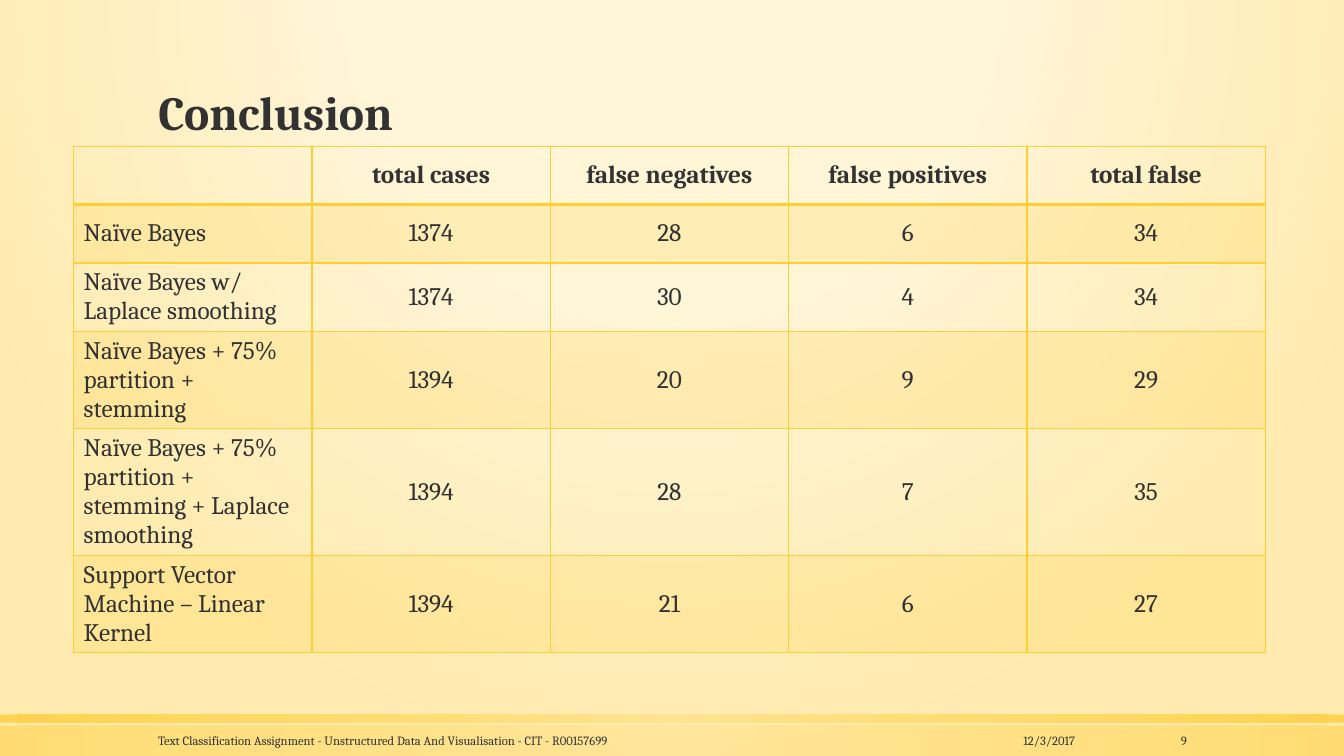
from dataclasses import dataclass

from lxml import etree
from pptx import Presentation
from pptx.dml.color import RGBColor
from pptx.enum.shapes import MSO_SHAPE
from pptx.enum.text import MSO_ANCHOR, MSO_AUTO_SIZE, PP_ALIGN
from pptx.oxml.ns import qn
from pptx.util import Inches, Pt

FONT = "Cambria"
INK = RGBColor(0x32, 0x32, 0x32)
GOLD = RGBColor(0xFF, 0xCD, 0x36)
LIGHT_GOLD = RGBColor(0xFF, 0xE1, 0x86)
CREAM = RGBColor(0xFF, 0xF5, 0xD7)
SAND = RGBColor(0xFF, 0xEB, 0xAF)

LEFT, CENTER, RIGHT = PP_ALIGN.LEFT, PP_ALIGN.CENTER, PP_ALIGN.RIGHT
MIDDLE, BOTTOM = MSO_ANCHOR.MIDDLE, MSO_ANCHOR.BOTTOM
RECTANGLE = MSO_SHAPE.RECTANGLE
NO_AUTOFIT = MSO_AUTO_SIZE.NONE


@dataclass(frozen=True)
class Stop:
    """One gradient stop; position and opacity are percentages."""
    position: int
    color: RGBColor
    opacity: int = 100


@dataclass(frozen=True)
class Band:
    """A full-width strip at the foot of the slide."""
    top: float
    height: float
    opacity: int


@dataclass(frozen=True)
class FooterItem:
    """A small text in the footer strip."""
    text: str
    left: float
    width: float
    align: PP_ALIGN


BACKGROUND_STOPS = [Stop(0, CREAM, 59), Stop(40, CREAM, 66), Stop(100, SAND)]
BANDS = [Band(7.2, 0.3, 50), Band(7.09, 0.08, 80)]
FOOTER = [
    FooterItem("12/3/2017", 9.71, 1.05, RIGHT),
    FooterItem("Text Classification Assignment - Unstructured Data And "
               "Visualisation - CIT - R00157699", 1.47, 7.83, LEFT),
    FooterItem("9", 11.17, 0.7, RIGHT),
]
RESULTS = [
    ("", "total cases", "false negatives", "false positives", "total false"),
    ("Naïve Bayes", "1374", "28", "6", "34"),
    ("Naïve Bayes w/ Laplace smoothing", "1374", "30", "4", "34"),
    ("Naïve Bayes + 75% partition + stemming", "1394", "20", "9", "29"),
    ("Naïve Bayes + 75% partition + stemming + Laplace smoothing",
     "1394", "28", "7", "35"),
    ("Support Vector Machine – Linear Kernel", "1394", "21", "6", "27"),
]
COLUMN_WIDTH, ROW_HEIGHT = Inches(2.364), Inches(0.58)


def add_color(parent, color: RGBColor, opacity: int = 100) -> None:
    """Append an RGB colour with the given opacity to an XML element."""
    node = etree.SubElement(parent, qn("a:srgbClr"), val=str(color))
    if opacity < 100:
        etree.SubElement(node, qn("a:alpha"), val=str(opacity * 1000))


def set_radial_fill(properties, stops: list[Stop], top: int, bottom: int) -> None:
    """Swap a solid fill for a circular gradient centred horizontally."""
    gradient = etree.Element(qn("a:gradFill"), rotWithShape="1")
    stop_list = etree.SubElement(gradient, qn("a:gsLst"))
    for stop in stops:
        node = etree.SubElement(stop_list, qn("a:gs"), pos=str(stop.position * 1000))
        add_color(node, stop.color, stop.opacity)
    circle = etree.SubElement(gradient, qn("a:path"), path="circle")
    etree.SubElement(circle, qn("a:fillToRect"), l="50000", r="50000",
                     t=str(top * 1000), b=str(bottom * 1000))
    properties.replace(properties.find(qn("a:solidFill")), gradient)


def write_text(frame, text: str, *, size: float, bold: bool = False,
               align: PP_ALIGN = LEFT, spacing: float = 1.0) -> None:
    """Fill a text frame with one formatted paragraph."""
    para = frame.paragraphs[0]
    para.alignment = align
    para.line_spacing = spacing
    span = para.add_run()
    span.text = text
    span.font.name = FONT
    span.font.size = Pt(size)
    span.font.bold = bold
    span.font.color.rgb = INK


def add_band(page, band: Band, width: int) -> None:
    """Draw one golden strip across the slide."""
    box = page.shapes.add_shape(RECTANGLE, 0, Inches(band.top), width,
                                Inches(band.height))
    box.shadow.inherit = False
    box.line.fill.background()
    box.fill.solid()
    stops = [Stop(0, LIGHT_GOLD, band.opacity), Stop(100, GOLD, band.opacity)]
    set_radial_fill(box.element.spPr, stops, 50, 50)


def add_footer_item(page, item: FooterItem) -> None:
    """Place one footer text."""
    box = page.shapes.add_textbox(Inches(item.left), Inches(7.22),
                                  Inches(item.width), Inches(0.26))
    frame = box.text_frame
    frame.word_wrap = True
    frame.vertical_anchor = MIDDLE
    write_text(frame, item.text, size=9, align=item.align)


def format_cell(cell, row: int) -> None:
    """Give a cell its border and its banded fill."""
    cell.vertical_anchor = MIDDLE
    properties = cell._tc.get_or_add_tcPr()
    widths = {"L": 1, "R": 1, "T": 2 if row == 1 else 1, "B": 2 if row == 0 else 1}
    for side, width in widths.items():
        line = etree.SubElement(properties, qn(f"a:ln{side}"), w=str(Pt(width)))
        add_color(etree.SubElement(line, qn("a:solidFill")), GOLD)
    if row % 2:
        add_color(etree.SubElement(properties, qn("a:solidFill")), GOLD, 20)
    else:
        cell.fill.background()


def add_results(page) -> None:
    """Build the table of classifier results."""
    rows, columns = len(RESULTS), len(RESULTS[0])
    table = page.shapes.add_table(rows, columns, Inches(0.73), Inches(1.45),
                                  COLUMN_WIDTH * columns, ROW_HEIGHT * rows).table
    table.horz_banding = False
    for table_row in table.rows:
        table_row.height = ROW_HEIGHT
    for row, values in enumerate(RESULTS):
        for column, text in enumerate(values):
            cell = table.cell(row, column)
            format_cell(cell, row)
            if text:
                write_text(cell.text_frame, text, size=18, bold=row == 0,
                           align=CENTER if column else LEFT)


def add_title(page, text: str) -> None:
    """Move and format the title placeholder."""
    title = page.shapes.title
    title.left, title.top = Inches(1.47), Inches(0.51)
    title.width, title.height = Inches(10.4), Inches(0.94)
    frame = title.text_frame
    frame.auto_size = NO_AUTOFIT
    frame.vertical_anchor = BOTTOM
    write_text(frame, text, size=34, bold=True, spacing=0.9)


def main() -> None:
    """Build and save the deck."""
    deck = Presentation()
    deck.slide_width, deck.slide_height = Inches(13.33), Inches(7.5)
    page = deck.slides.add_slide(deck.slide_layouts[5])
    page.background.fill.solid()
    background = next(page.element.iter(qn("p:bgPr")))
    set_radial_fill(background, BACKGROUND_STOPS, -80, 180)
    for band in BANDS:
        add_band(page, band, deck.slide_width)
    add_title(page, "Conclusion")
    add_results(page)
    for item in FOOTER:
        add_footer_item(page, item)
    deck.save("out.pptx")


main()
